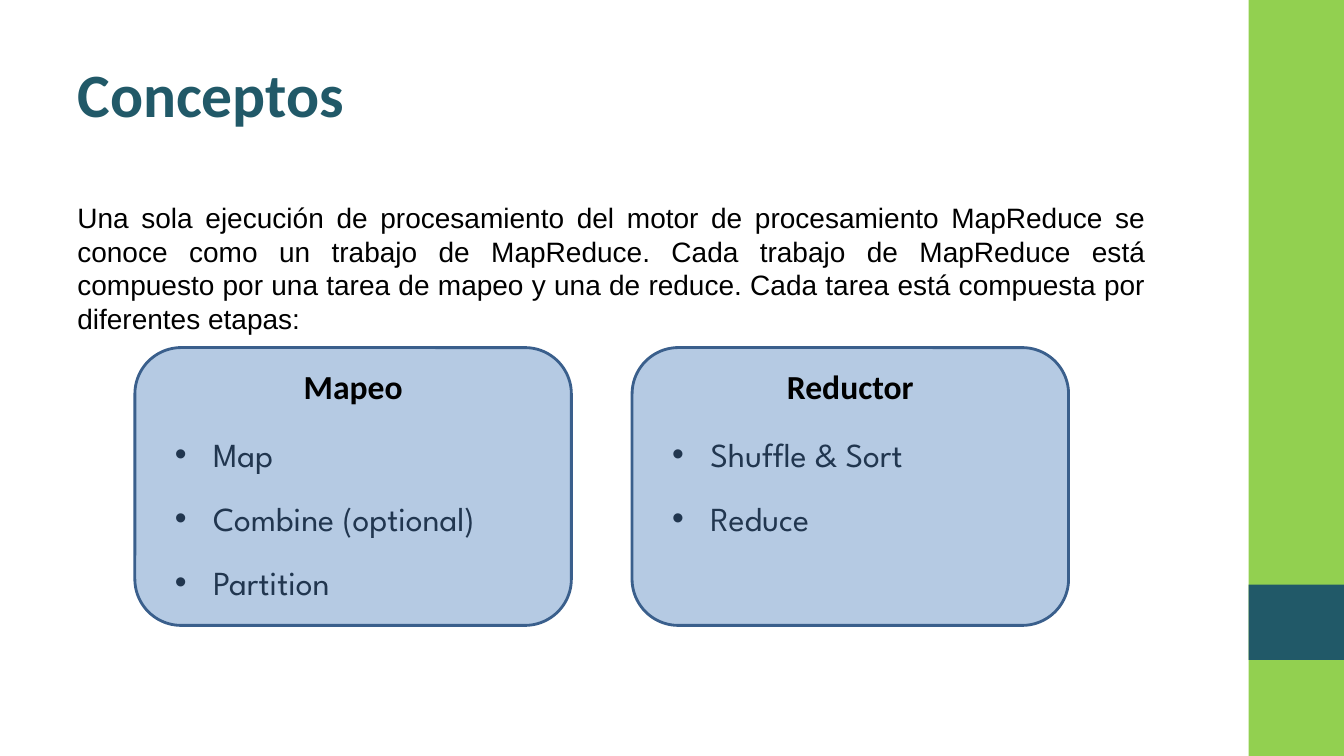
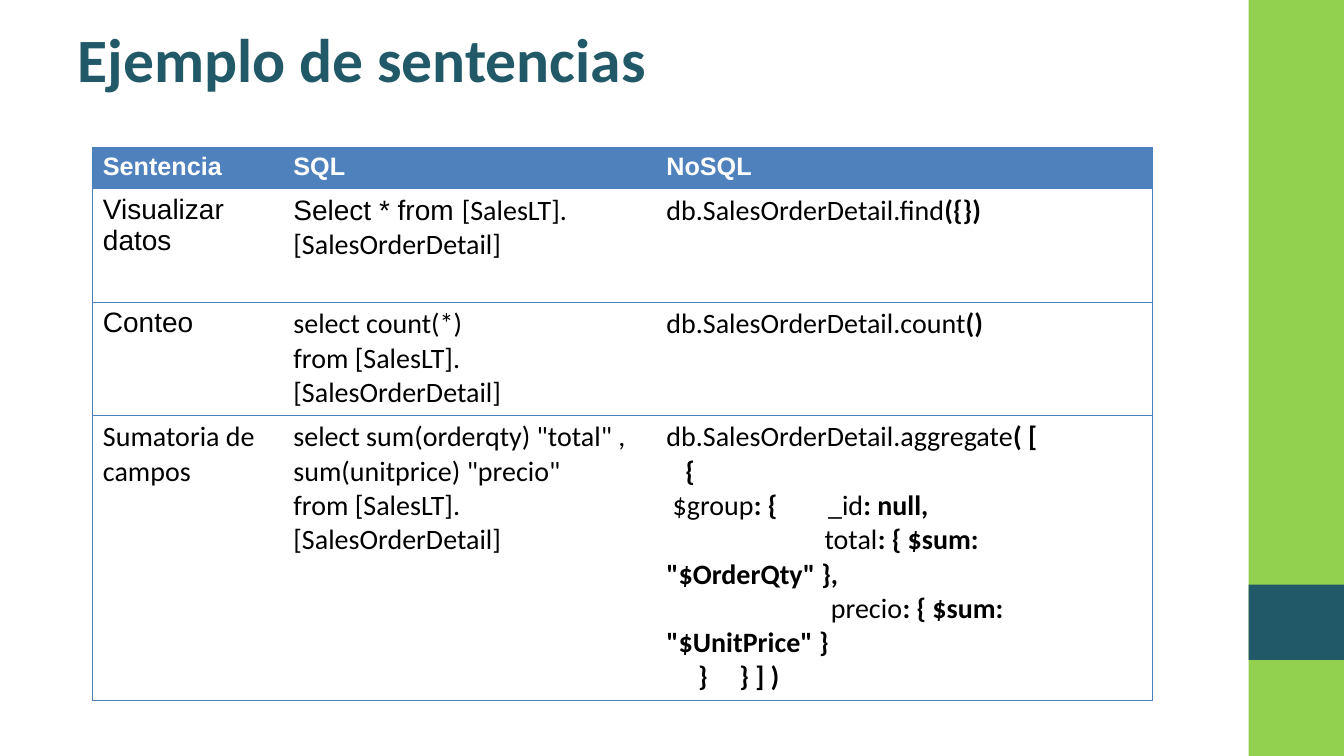
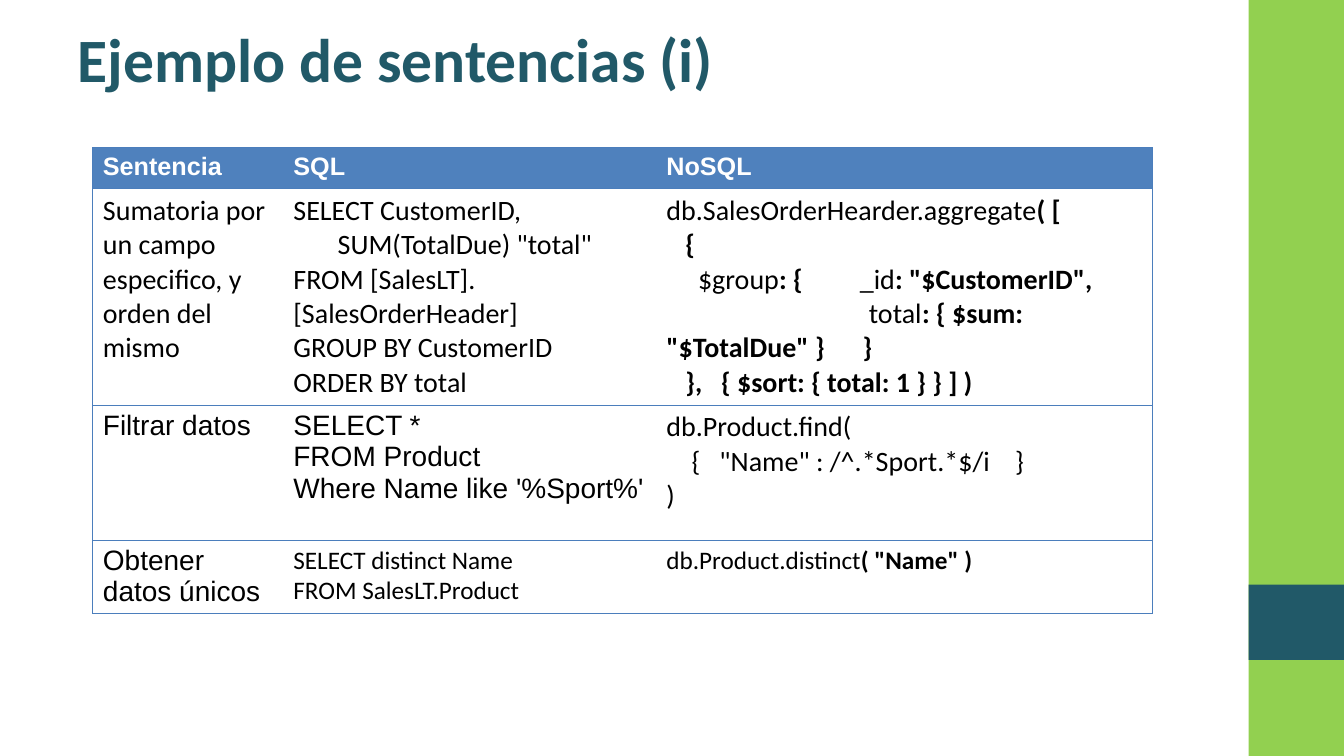
from lxml import etree
from pptx import Presentation
from pptx.dml.color import RGBColor
from pptx.enum.shapes import MSO_SHAPE
from pptx.enum.text import MSO_ANCHOR, MSO_AUTO_SIZE, PP_ALIGN
from pptx.oxml.ns import qn
from pptx.util import Cm, Pt

RECTANGLE, ROUNDED = MSO_SHAPE.RECTANGLE, MSO_SHAPE.ROUNDED_RECTANGLE
LEFT, CENTER, JUSTIFY = PP_ALIGN.LEFT, PP_ALIGN.CENTER, PP_ALIGN.JUSTIFY
TOP, MIDDLE = MSO_ANCHOR.TOP, MSO_ANCHOR.MIDDLE
NO_AUTOFIT = MSO_AUTO_SIZE.NONE

GREEN = RGBColor(0x92, 0xD0, 0x50)
TEAL = RGBColor(0x21, 0x59, 0x68)
BLUE = RGBColor(0x4F, 0x81, 0xBD)
PANEL_LINE = RGBColor(0x3A, 0x5F, 0x8C)
TABLE_LINE = RGBColor(0x4B, 0x7E, 0xBC)
BLACK = RGBColor(0, 0, 0)
WHITE = RGBColor(0xFF, 0xFF, 0xFF)

ARIAL, CALIBRI, SPARTAN = "Arial", "Calibri", "League Spartan"
PLAIN_TABLE_STYLE = "{2D5ABB26-0587-4C30-8999-92F81FD0307C}"
TITLE_ONLY = 5
PAGE_WIDTH, PAGE_HEIGHT = Cm(33.87), Cm(19.05)
MARGIN = Cm(1.7)


def styled(content, **style):
    """Pair text, or the lines of a cell, with its own format."""
    return content, style


def bold(text):
    return styled(text, bold=True)


def add_span(para, text, font=CALIBRI, size=20, color=BLACK, bold=False):
    span = para.add_run()
    span.text = text
    span.font.name = font
    span.font.size = Pt(size)
    span.font.bold = bold
    span.font.color.rgb = color


def write_lines(frame, lines, align=LEFT, **style):
    """Fill a text frame; a line is a string or a list of plain and styled spans."""
    for index, line in enumerate(lines):
        para = frame.add_paragraph() if index else frame.paragraphs[0]
        para.alignment = align
        for part in [line] if isinstance(line, str) else line:
            text, own_style = (part, {}) if isinstance(part, str) else part
            add_span(para, text, **{**style, **own_style})


def add_bullet(para):
    properties = para._p.get_or_add_pPr()
    properties.set("marL", str(Cm(1)))
    properties.set("indent", str(-Cm(0.96)))
    etree.SubElement(properties, qn("a:buFont"), typeface=ARIAL)
    etree.SubElement(properties, qn("a:buChar"), char="•")


def add_borders(cell, sides):
    """Draw the named sides, given in the order L, R, T, B."""
    properties = cell._tc.get_or_add_tcPr()
    for side in sides:
        line = etree.SubElement(properties, qn(f"a:ln{side}"), w=str(Pt(0.75)))
        fill = etree.SubElement(line, qn("a:solidFill"))
        etree.SubElement(fill, qn("a:srgbClr"), val=str(TABLE_LINE))


class Deck:
    """Holds the shared style and the slide being built."""

    def __init__(self):
        self.file = Presentation()
        self.file.slide_width, self.file.slide_height = PAGE_WIDTH, PAGE_HEIGHT
        self.layout = self.file.slide_layouts[TITLE_ONLY]
        self.page = None

    def add_page(self, title, width=Cm(25.04), height=Cm(1.4)):
        self.page = self.file.slides.add_slide(self.layout)
        if len(self.file.slides) == 1:
            self.add_layout_bands()
        box = self.page.shapes.title
        box.left, box.top, box.width, box.height = MARGIN, Cm(0.76), width, height
        frame = box.text_frame
        frame.auto_size = NO_AUTOFIT
        frame.vertical_anchor = MIDDLE
        write_lines(frame, [title], size=44, color=TEAL, bold=True)

    def add_layout_bands(self):
        """Draw the side bands and move them to the layout, for every page."""
        left = Cm(31.47)
        for top, height, color in ((0, PAGE_HEIGHT, GREEN),
                                   (Cm(14.73), Cm(1.9), TEAL)):
            band = self.add_shape(RECTANGLE, left, top, PAGE_WIDTH - left, height, color)
            band.line.fill.background()
            self.layout.shapes.element.append(band.element)

    def add_shape(self, kind, left, top, width, height, color):
        shape = self.page.shapes.add_shape(kind, left, top, width, height)
        shape.shadow.inherit = False
        shape.fill.solid()
        shape.fill.fore_color.rgb = color
        return shape

    def add_text(self, left, top, width, height, lines, **style):
        box = self.page.shapes.add_textbox(left, top, width, height)
        box.text_frame.word_wrap = True
        write_lines(box.text_frame, lines, **style)
        return box.text_frame

    def add_bullets(self, left, top, width, items):
        height = Cm(1.07 + 1.6 * (len(items) - 1))
        frame = self.add_text(left, top, width, height, items, font=SPARTAN, size=24)
        frame.margin_left = frame.margin_right = 0
        frame.margin_top = frame.margin_bottom = 0
        for index, para in enumerate(frame.paragraphs):
            if index:
                para.space_before = Pt(16.9)
            add_bullet(para)

    def add_panel(self, left, top, width, height, heading):
        panel = self.add_shape(ROUNDED, left, top, width, height, BLUE)
        color = next(panel.element.iter(qn("a:srgbClr")))
        etree.SubElement(color, qn("a:alpha"), val="42000")
        panel.line.color.rgb = PANEL_LINE
        panel.line.width = Pt(2)
        panel.text_frame.vertical_anchor = TOP
        write_lines(panel.text_frame, [heading], align=CENTER, size=24, bold=True)

    def add_statements(self, rows, heights):
        """Add the comparison table; a cell holds lines, or lines with a style."""
        widths = (Cm(4.8), Cm(9.4), Cm(12.5))
        heights = (Cm(1.04), *heights)
        header = [styled([name], font=ARIAL, size=18, color=WHITE, bold=True)
                  for name in ("Sentencia", "SQL", "NoSQL")]
        rows = [header, *rows]
        holder = self.page.shapes.add_table(len(rows), len(widths), Cm(2.34), Cm(3.72),
                                            sum(widths), sum(heights))
        next(holder.element.iter(qn("a:tableStyleId"))).text = PLAIN_TABLE_STYLE
        table = holder.table
        table.horz_banding = False
        for column, width in zip(table.columns, widths):
            column.width = width
        outer_sides = {0: "L", len(widths) - 1: "R"}
        for row_index, (row, height) in enumerate(zip(rows, heights)):
            table.rows[row_index].height = height
            for column_index, content in enumerate(row):
                cell = table.cell(row_index, column_index)
                add_borders(cell, outer_sides.get(column_index, "") + "TB")
                if row_index:
                    cell.fill.background()
                else:
                    cell.fill.solid()
                    cell.fill.fore_color.rgb = BLUE
                lines, style = content if isinstance(content, tuple) else (content, {})
                write_lines(cell.text_frame, lines, **style)


def build_concepts(deck):
    deck.add_page("Conceptos", width=Cm(14.25), height=Cm(3.18))
    deck.add_text(
        MARGIN, Cm(4.93), Cm(27.43), Cm(3.68),
        ["Una sola ejecución de procesamiento del motor de procesamiento MapReduce se "
         "conoce como un trabajo de MapReduce. Cada trabajo de MapReduce está compuesto "
         "por una tarea de mapeo y una de reduce. Cada tarea está compuesta por "
         "diferentes etapas:"],
        align=JUSTIFY, font=ARIAL)

    stages = {"Mapeo": ["Map", "Combine (optional)", "Partition"],
              "Reductor": ["Shuffle & Sort", "Reduce"]}
    top, width, gap = Cm(8.76), Cm(11), Cm(1.53)
    for index, (heading, items) in enumerate(stages.items()):
        left = Cm(3.4) + index * (width + gap)
        deck.add_bullets(left + Cm(0.97), top + Cm(2.18), Cm(9.14), items)
        deck.add_panel(left, top, width, Cm(7), heading)


def build_basic_statements(deck):
    deck.add_page("Ejemplo de sentencias")
    deck.add_statements([
        [styled(["Visualizar datos"], font=ARIAL),
         [[styled("Select * from ", font=ARIAL), "[SalesLT].[SalesOrderDetail]"]],
         [["db.SalesOrderDetail.find", bold("({})")]]],
        [styled(["Conteo"], font=ARIAL),
         ["select count(*)", "from [SalesLT].[SalesOrderDetail]"],
         [["db.SalesOrderDetail.count", bold("()")]]],
        [["Sumatoria de campos"],
         ['select sum(orderqty) "total" , sum(unitprice) "precio"',
          "from [SalesLT].[SalesOrderDetail]"],
         [["db.SalesOrderDetail.aggregate", bold("( [")],
          ["   ", bold("{")],
          [" $group", bold(": {"), "        _id", bold(": null,")],
          ["                         total", bold(': { $sum: "$OrderQty" },')],
          ["                          precio", bold(': { $sum: "$UnitPrice" }')],
          ["     ", bold("}     } ] )")]]],
    ], (Cm(2.85), Cm(2.85), Cm(7.18)))


def build_grouped_statements(deck):
    deck.add_page("Ejemplo de sentencias (i)")
    deck.add_statements([
        [["Sumatoria por un campo especifico, y orden del mismo"],
         ["SELECT CustomerID,",
          '       SUM(TotalDue) "total"',
          "FROM [SalesLT].[SalesOrderHeader]",
          "GROUP BY CustomerID",
          "ORDER BY total"],
         [["db.SalesOrderHearder.aggregate", bold("( [")],
          ["   ", bold("{")],
          ["     $group", bold(": { "), "        _id", bold(': "$CustomerID",')],
          ["                                total",
           bold(': { $sum: "$TotalDue" }      }')],
          ["   ", bold("},   { $sort: { total: 1 } } ] )")]]],
        [styled(["Filtrar datos"], font=ARIAL),
         styled(["SELECT *", "FROM Product", "Where Name like '%Sport%'"], font=ARIAL),
         ["db.Product.find(", '    {   "Name" : /^.*Sport.*$/i    }', ")"]],
        [styled(["Obtener datos únicos"], font=ARIAL),
         styled(["SELECT distinct Name", "FROM SalesLT.Product"], size=18),
         styled([["db.Product.distinct", bold('( "Name" )')]], size=18)],
    ], (Cm(5.45), Cm(3.4), Cm(1.84)))


def main():
    deck = Deck()
    build_concepts(deck)
    build_basic_statements(deck)
    build_grouped_statements(deck)
    deck.file.save("out.pptx")


if __name__ == "__main__":
    main()
